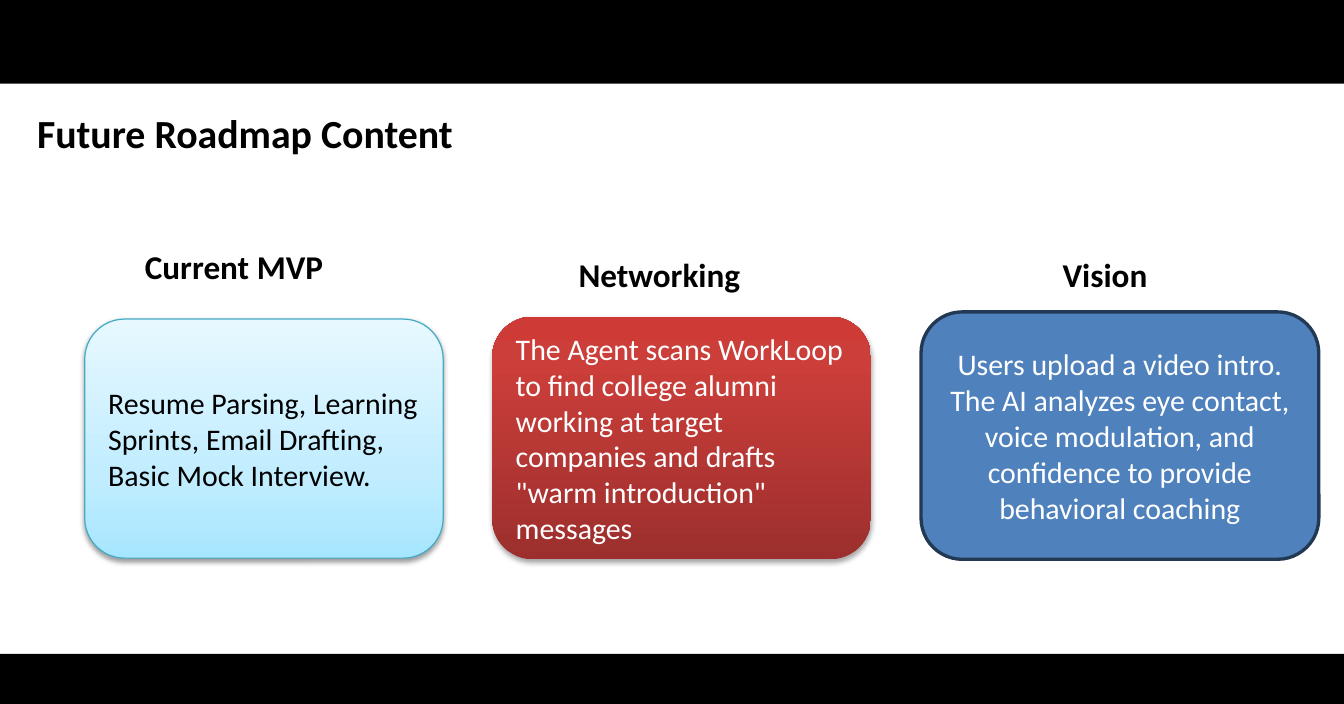
from lxml import etree
from pptx import Presentation
from pptx.dml.color import RGBColor
from pptx.enum import shapes, text
from pptx.oxml import ns
from pptx.util import Inches, Pt

BLACK = RGBColor(0x00, 0x00, 0x00)
WHITE = RGBColor(0xFF, 0xFF, 0xFF)
BLUE = RGBColor(0x4F, 0x81, 0xBD)
NAVY = RGBColor(0x23, 0x39, 0x53)
TEAL = RGBColor(0x46, 0xAA, 0xC5)
SKY = [(0, RGBColor(0xA7, 0xE6, 0xFF)), (35, RGBColor(0xC1, 0xED, 0xFF)),
       (100, RGBColor(0xE7, 0xF8, 0xFF))]
RED = [(0, RGBColor(0x9C, 0x2F, 0x2D)), (80, RGBColor(0xCB, 0x3E, 0x3A)),
       (100, RGBColor(0xCE, 0x3B, 0x37))]

WIDTH, HEIGHT = 11.25, 5.89
LEFT, CENTER = text.PP_ALIGN.LEFT, text.PP_ALIGN.CENTER
TOP, MIDDLE = text.MSO_ANCHOR.TOP, text.MSO_ANCHOR.MIDDLE

STAGES = [
    dict(head="Current MVP", spot=(0.71, 2.01, 2.5, 0.44),
         body="Resume Parsing, Learning Sprints, Email Drafting, "
              "Basic Mock Interview.",
         box=(0.71, 2.67, 3, 2), fill=SKY, edge=(TEAL, 0.75),
         shade=(38, 1.6), ink=BLACK, align=LEFT),
    dict(head="Networking", spot=(4.38, 2.08, 2.28, 0.44),
         body="The Agent scans WorkLoop to find college alumni working at "
              "target companies and drafts \"warm introduction\" messages",
         box=(4.12, 2.65, 3.17, 2.03), fill=RED, edge=None,
         shade=(35, 1.8), ink=WHITE, align=LEFT),
    dict(head="Vision", spot=(8.21, 2.08, 2.08, 0.44),
         body="Users upload a video intro. The AI analyzes eye contact, "
              "voice modulation, and confidence to provide behavioral coaching",
         box=(7.71, 2.61, 3.33, 2.07), fill=BLUE, edge=(NAVY, 2),
         shade=None, ink=WHITE, align=CENTER),
]


def place(box):
    return [Inches(size) for size in box]


def write(shape, words, size, ink=BLACK, bold=False, align=LEFT, anchor=TOP):
    frame = shape.text_frame
    frame.word_wrap = True
    frame.auto_size = text.MSO_AUTO_SIZE.NONE
    frame.vertical_anchor = anchor
    para = frame.paragraphs[0]
    para.alignment = align
    run = para.add_run()
    run.text = words
    font = run.font
    font.name, font.size, font.bold = "Calibri", Pt(size), bold
    font.color.rgb = ink


def tint(parent, color):
    return etree.SubElement(parent, ns.qn("a:srgbClr"), val=str(color))


def blend(shape, stops):
    shape.fill.gradient()
    shape.fill.gradient_angle = 90
    chain = shape.element.spPr.find(".//" + ns.qn("a:gsLst"))
    for stop in list(chain):
        chain.remove(stop)
    for spot, color in stops:
        tint(etree.SubElement(chain, ns.qn("a:gs"), pos=str(spot * 1000)), color)


def cast(shape, alpha, drop):
    effects = shape.element.spPr.find(ns.qn("a:effectLst"))
    shadow = etree.SubElement(
        effects, ns.qn("a:outerShdw"), blurRad=str(Pt(3.1)),
        dist=str(Pt(drop)), dir="5400000", rotWithShape="0")
    etree.SubElement(tint(shadow, BLACK), ns.qn("a:alpha"), val=str(alpha * 1000))


def panel(slide, kind, box, fill, edge=None):
    shape = slide.shapes.add_shape(kind, *place(box))
    shape.shadow.inherit = False
    if isinstance(fill, list):
        blend(shape, fill)
    else:
        shape.fill.solid()
        shape.fill.fore_color.rgb = fill
    if edge:
        shape.line.color.rgb, shape.line.width = edge[0], Pt(edge[1])
    else:
        shape.line.fill.background()
    return shape


def bar(slide, box):
    panel(slide, shapes.MSO_SHAPE.RECTANGLE, box, BLACK)


def title(slide, box):
    holder = slide.shapes.title
    holder.left, holder.top, holder.width, holder.height = place(box)
    write(holder, "Future Roadmap Content", 24, bold=True)


def stage(slide, head, spot, body, box, fill, edge, shade, ink, align):
    label = slide.shapes.add_textbox(*place(spot))
    write(label, head, 20, bold=True, align=CENTER)
    card = panel(slide, shapes.MSO_SHAPE.ROUNDED_RECTANGLE, box, fill, edge)
    if shade:
        cast(card, *shade)
    write(card, body, 18, ink, align=align, anchor=MIDDLE)


def main():
    deck = Presentation()
    deck.slide_width, deck.slide_height = Inches(WIDTH), Inches(HEIGHT)
    slide = deck.slides.add_slide(deck.slide_layouts[5])
    bar(slide, (0, 0, WIDTH, 0.7))
    bar(slide, (0, 5.47, WIDTH, HEIGHT - 5.47))
    title(slide, (0.21, 0.86, 4.17, 0.5))
    for item in STAGES:
        stage(slide, **item)
    deck.save("out.pptx")


if __name__ == "__main__":
    main()
